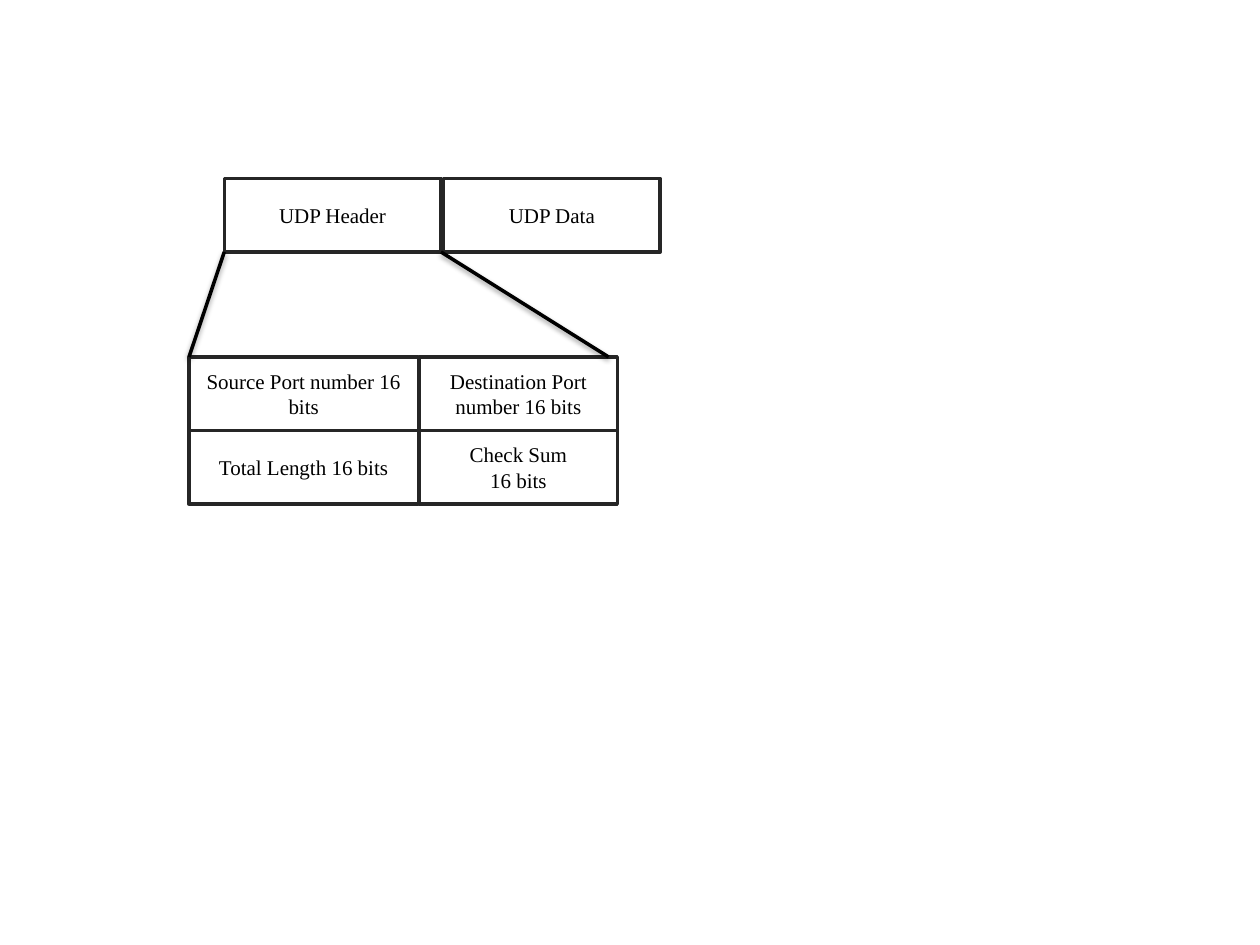
from lxml import etree
from pptx import Presentation
from pptx.dml.color import RGBColor
from pptx.enum.shapes import MSO_CONNECTOR as Connector, MSO_SHAPE as Shape
from pptx.enum.text import MSO_ANCHOR as Anchor, PP_ALIGN as Align
from pptx.oxml import parse_xml
from pptx.oxml.ns import nsdecls
from pptx.util import Inches, Pt

COLUMNS, ROWS = 100, 90
SHADOW = (
    f'<a:effectLst {nsdecls("a")}>'
    '<a:outerShdw blurRad="40000" dist="20000" dir="5400000" rotWithShape="0">'
    '<a:srgbClr val="000000"><a:alpha val="38000"/></a:srgbClr>'
    '</a:outerShdw></a:effectLst>'
)


def color(value):
    """Turn a hex string into a colour."""
    return RGBColor.from_string(value)


class Diagram:
    """Draws packet fields on a grid of columns and rows."""

    font, size, line_width = "Times New Roman", Pt(12), Pt(2)
    ink, border = "000000", "262626"

    def __init__(self, presentation):
        """Add a blank slide with one group for the diagram."""
        slide = presentation.slides.add_slide(presentation.slide_layouts[6])
        self.shapes = slide.shapes.add_group_shape().shapes
        self.column = presentation.slide_width / COLUMNS
        self.row = presentation.slide_height / ROWS

    def place(self, column, row):
        """Convert grid units to slide lengths."""
        return round(column * self.column), round(row * self.row)

    def field(self, column, row, width, height, text):
        """Draw an outlined box with centred text."""
        shape = self.shapes.add_shape(
            Shape.RECTANGLE, *self.place(column, row), *self.place(width, height))
        shape.shadow.inherit = False
        shape.fill.background()
        shape.line.color.rgb = color(self.border)
        shape.line.width = self.line_width
        frame = shape.text_frame
        frame.word_wrap = True
        frame.vertical_anchor = Anchor.MIDDLE
        frame.text = text
        for paragraph in frame.paragraphs:
            paragraph.alignment = Align.CENTER
            paragraph.font.name = self.font
            paragraph.font.size = self.size
            paragraph.font.color.rgb = color(self.ink)

    def ray(self, start, end):
        """Draw a straight line with a soft shadow."""
        line = self.shapes.add_connector(
            Connector.STRAIGHT, *self.place(*start), *self.place(*end))
        line.line.color.rgb = color(self.ink)
        line.line.width = self.line_width
        line._element.spPr.append(parse_xml(SHADOW))


def main():
    """Build the UDP datagram slide."""
    presentation = Presentation()
    presentation.slide_width, presentation.slide_height = Inches(10), Inches(7.5)
    diagram = Diagram(presentation)

    height, packet_top, detail_top = 7, 17, 34
    detail_columns = [(15, 18.2), (33.3, 15.7)]
    detail_rows = [
        ("Source Port number 16 bits", "Destination Port number 16 bits"),
        ("Total Length 16 bits", "Check Sum\n16 bits"),
    ]
    for index, texts in enumerate(detail_rows):
        for (left, width), text in zip(detail_columns, texts):
            diagram.field(left, detail_top + index * height, width, height, text)

    for left, text in [(17.8, "UDP Header"), (35.2, "UDP Data")]:
        diagram.field(left, packet_top, 17.2, height, text)

    for detail_x, header_x in [(15, 17.8), (48.3, 35)]:
        diagram.ray((detail_x, detail_top), (header_x, packet_top + height))

    presentation.save("out.pptx")


main()
